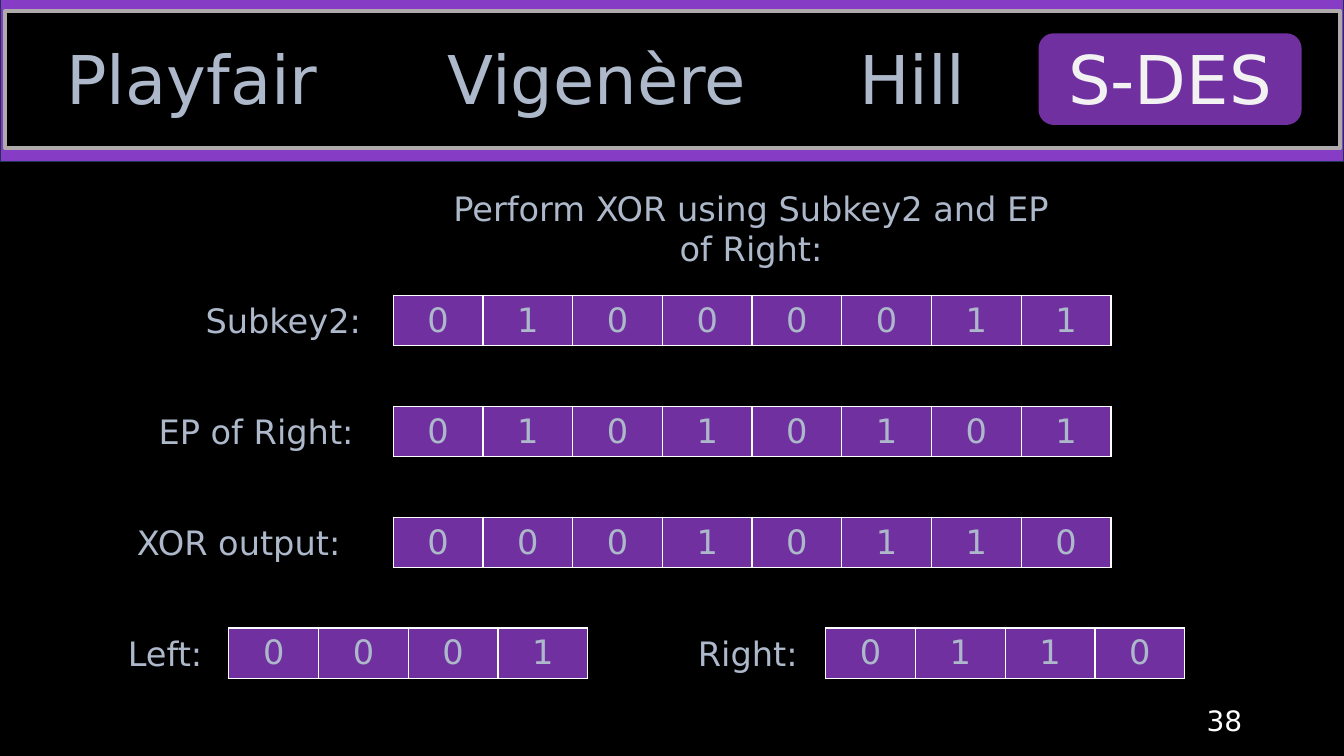
from pptx import Presentation
from pptx.dml.color import RGBColor
from pptx.enum.shapes import MSO_SHAPE
from pptx.enum.text import MSO_ANCHOR, MSO_AUTO_SIZE, PP_ALIGN
from pptx.util import Inches, Pt

BLACK = RGBColor(0x00, 0x00, 0x00)
WHITE = RGBColor(0xFF, 0xFF, 0xFF)
OFF_WHITE = RGBColor(0xF2, 0xF2, 0xF2)
BLUE_GREY = RGBColor(0xAD, 0xB9, 0xCA)
WARM_GREY = RGBColor(0xAF, 0xAB, 0xAB)
NAVY = RGBColor(0x1E, 0x32, 0x56)
VIOLET = RGBColor(0x86, 0x3C, 0xC4)
PURPLE = RGBColor(0x70, 0x30, 0xA0)
FONT = "DejaVu Sans"
CELL_WIDTH = 0.89
ROW_HEIGHT = 0.5


def write(frame, text, size, color=BLUE_GREY, align=PP_ALIGN.CENTER):
    frame.text = text
    frame.word_wrap = True
    paragraph = frame.paragraphs[0]
    paragraph.alignment = align
    font = paragraph.runs[0].font
    font.name = FONT
    font.size = Pt(size)
    font.bold = False
    font.color.rgb = color


def add_panel(kind, left, top, width, height, fill, line=None, line_width=1):
    panel = slide.shapes.add_shape(
        kind, Inches(left), Inches(top), Inches(width), Inches(height))
    panel.shadow.inherit = False
    panel.fill.solid()
    panel.fill.fore_color.rgb = fill
    if line is None:
        panel.line.fill.background()
    else:
        panel.line.color.rgb = line
        panel.line.width = Pt(line_width)


prs = Presentation()
prs.slide_width = Inches(13.33)
prs.slide_height = Inches(7.5)
slide = prs.slides.add_slide(prs.slide_layouts[5])
slide.background.fill.solid()
slide.background.fill.fore_color.rgb = BLACK

# Navigation banner with the current topic highlighted
add_panel(MSO_SHAPE.RECTANGLE, 0, -0.02, 13.33, 1.62, VIOLET, NAVY)
add_panel(MSO_SHAPE.RECTANGLE, 0.05, 0.11, 13.24, 1.36, BLACK, WARM_GREY, 3)
add_panel(MSO_SHAPE.ROUNDED_RECTANGLE, 10.3, 0.33, 2.61, 0.91, PURPLE)

topics = [
    ("Playfair", 0.24, 3.33, BLUE_GREY),
    ("Vigenère", 4.05, 3.74, BLUE_GREY),
    ("Hill", 8.27, 1.56, BLUE_GREY),
    ("S-DES", 10.3, 2.61, OFF_WHITE),
]
for topic, left, width, color in topics:
    tab = slide.shapes.add_textbox(
        Inches(left), Inches(0.32), Inches(width), Inches(0.91))
    write(tab.text_frame, topic, 48, color)

# Step title
step = slide.shapes.title
step.left, step.top = Inches(4.38), Inches(1.81)
step.width, step.height = Inches(6.14), Inches(0.91)
write(step.text_frame, "Perform XOR using Subkey2 and EP of Right:", 24)
step.text_frame.vertical_anchor = MSO_ANCHOR.TOP
step.text_frame.auto_size = MSO_AUTO_SIZE.NONE

# Labelled bit strings: label, its left, width and alignment, row, bits, their left
bit_strings = [
    ("Subkey2:", 1.73, 2.16, PP_ALIGN.CENTER, 0, "01000011", 3.9),
    ("EP of Right:", 1.18, 2.72, PP_ALIGN.CENTER, 1, "01010101", 3.9),
    ("XOR output:", 1.26, 2.61, PP_ALIGN.LEFT, 2, "00010110", 3.9),
    ("Left: ", 1.12, 1.14, PP_ALIGN.CENTER, 3, "0001", 2.27),
    ("Right: ", 6.77, 1.4, PP_ALIGN.CENTER, 3, "0110", 8.19),
]
for label, label_left, label_width, align, row, bits, bits_left in bit_strings:
    top = Inches(2.93 + 1.1 * row)
    caption = slide.shapes.add_textbox(
        Inches(label_left), top, Inches(label_width), Inches(ROW_HEIGHT))
    write(caption.text_frame, label, 24, align=align)

    bit_table = slide.shapes.add_table(
        1, len(bits), Inches(bits_left), top,
        Inches(CELL_WIDTH * len(bits)), Inches(ROW_HEIGHT)).table
    for column, bit in enumerate(bits):
        cell = bit_table.cell(0, column)
        cell.fill.solid()
        cell.fill.fore_color.rgb = PURPLE
        cell.vertical_anchor = MSO_ANCHOR.MIDDLE
        write(cell.text_frame, bit, 24)

# Page number
page_number = slide.shapes.add_textbox(
    Inches(9.42), Inches(6.95), Inches(3), Inches(0.4))
write(page_number.text_frame, "38", 20, WHITE, PP_ALIGN.RIGHT)
page_number.text_frame.vertical_anchor = MSO_ANCHOR.MIDDLE

prs.save("out.pptx")
